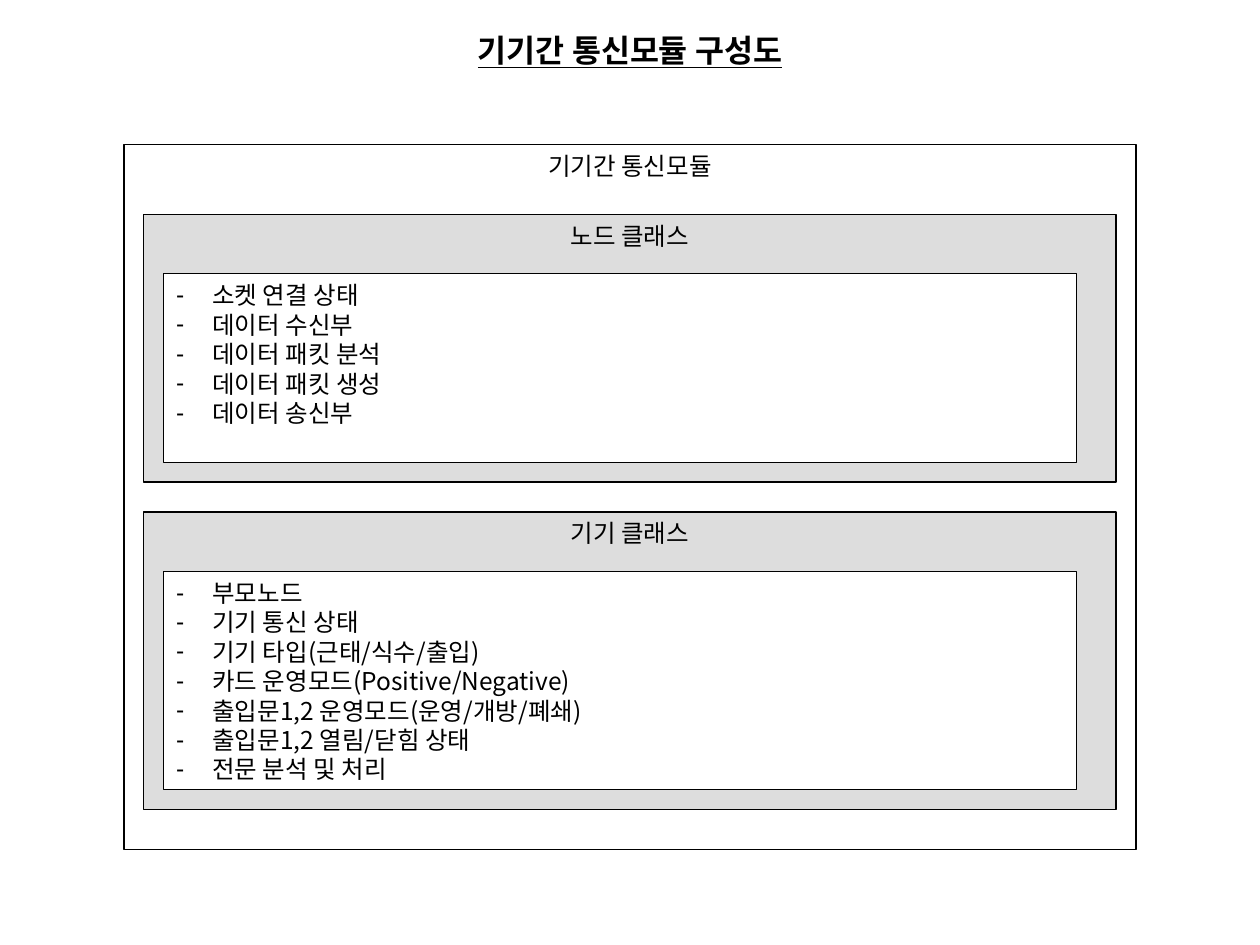
from lxml.etree import SubElement
from pptx import Presentation
from pptx.dml.color import RGBColor
from pptx.enum.shapes import MSO_SHAPE
from pptx.enum.text import MSO_ANCHOR, MSO_AUTO_SIZE, PP_ALIGN
from pptx.oxml.ns import qn
from pptx.util import Cm, Pt

# Content
TITLE = "기기간 통신모듈 구성도"
MODULE = "기기간 통신모듈"
CLASSES = [
    {"name": "노드 클래스", "height": 5.4, "members": [
        "소켓 연결 상태",
        "데이터 수신부",
        "데이터 패킷 분석",
        "데이터 패킷 생성",
        "데이터 송신부",
    ]},
    {"name": "기기 클래스", "height": 6.0, "members": [
        "부모노드",
        "기기 통신 상태",
        "기기 타입(근태/식수/출입)",
        "카드 운영모드(Positive/Negative)",
        "출입문1,2 운영모드(운영/개방/폐쇄)",
        "출입문1,2 열림/닫힘 상태",
        "전문 분석 및 처리",
    ]},
]

# Look
THEME = {
    "font": "Noto Sans CJK KR",
    "ink": RGBColor(0, 0, 0),
    "paper": RGBColor(255, 255, 255),
    "panel": RGBColor(0xDD, 0xDD, 0xDD),
    "title_size": Pt(18),
    "text_size": Pt(14),
    "line": Pt(0.75),
    "line_spacing": 1.0,
}

# Layout in centimetres
TITLE_AREA = (0, 0.5, 25.4, 1.02)
MODULE_AREA = (2.5, 2.92, 20.4, 14.2)
PANEL_LEFT, PANEL_TOP, PANEL_WIDTH, PANEL_GAP = 2.9, 4.32, 19.6, 0.6
HEADER, PADDING, LIST_WIDTH = 1.2, 0.4, 18.4
BULLET_INDENT = Cm(0.73)


def set_all(target, values):
    for name, value in values.items():
        setattr(target, name, value)


def place(box, area):
    names = ("left", "top", "width", "height")
    set_all(box, dict(zip(names, map(Cm, area))))


def paint(box, fill):
    if fill is None:
        box.fill.background()
    else:
        box.fill.solid()
        box.fill.fore_color.rgb = fill
    box.line.color.rgb = THEME["ink"]
    box.line.width = THEME["line"]


def write(box, lines, align, size, **font):
    frame = box.text_frame
    set_all(frame, {
        "word_wrap": True, "auto_size": MSO_AUTO_SIZE.NONE,
        "vertical_anchor": MSO_ANCHOR.TOP,
        "margin_left": Cm(0.25), "margin_right": Cm(0.25),
        "margin_top": Cm(0.13), "margin_bottom": Cm(0.13),
    })
    for number, line in enumerate(lines):
        para = frame.add_paragraph() if number else frame.paragraphs[0]
        set_all(para, {"alignment": align, "space_before": Pt(0),
                       "space_after": Pt(0),
                       "line_spacing": THEME["line_spacing"]})
        span = para.add_run()
        span.text = line
        set_all(span.font, {"name": THEME["font"], "size": size, **font})
        span.font.color.rgb = THEME["ink"]
        properties = span.font._element
        properties.set("kern", "0")
        SubElement(properties, qn("a:ea")).set("typeface", THEME["font"])


def add_dashes(box):
    for para in box.text_frame.paragraphs:
        properties = para._p.get_or_add_pPr()
        properties.set("marL", str(BULLET_INDENT))
        properties.set("indent", str(-BULLET_INDENT))
        SubElement(properties, qn("a:buChar")).set("char", "-")


def add_panel(page, label, area, fill=None):
    box = page.shapes.add_shape(MSO_SHAPE.RECTANGLE, *map(Cm, area))
    box.shadow.inherit = False
    paint(box, fill)
    write(box, [label], PP_ALIGN.CENTER, THEME["text_size"])


def main():
    deck = Presentation()
    deck.slide_width, deck.slide_height = Cm(25.4), Cm(19.05)
    page = deck.slides.add_slide(deck.slide_layouts.get_by_name("Two Content"))
    title, *lists = page.placeholders

    # Title and outer module frame
    place(title, TITLE_AREA)
    write(title, [TITLE], PP_ALIGN.CENTER, THEME["title_size"],
          bold=True, underline=True)
    add_panel(page, MODULE, MODULE_AREA)

    # One panel per class, with its member list in front
    top = PANEL_TOP
    for entry, members in zip(CLASSES, lists):
        height = entry["height"]
        add_panel(page, entry["name"],
                  (PANEL_LEFT, top, PANEL_WIDTH, height), THEME["panel"])
        place(members, (PANEL_LEFT + PADDING, top + HEADER,
                        LIST_WIDTH, height - HEADER - PADDING))
        paint(members, THEME["paper"])
        write(members, entry["members"], PP_ALIGN.LEFT, THEME["text_size"])
        add_dashes(members)
        page.shapes._spTree.append(members._element)
        top += height + PANEL_GAP

    deck.save("out.pptx")


if __name__ == "__main__":
    main()
